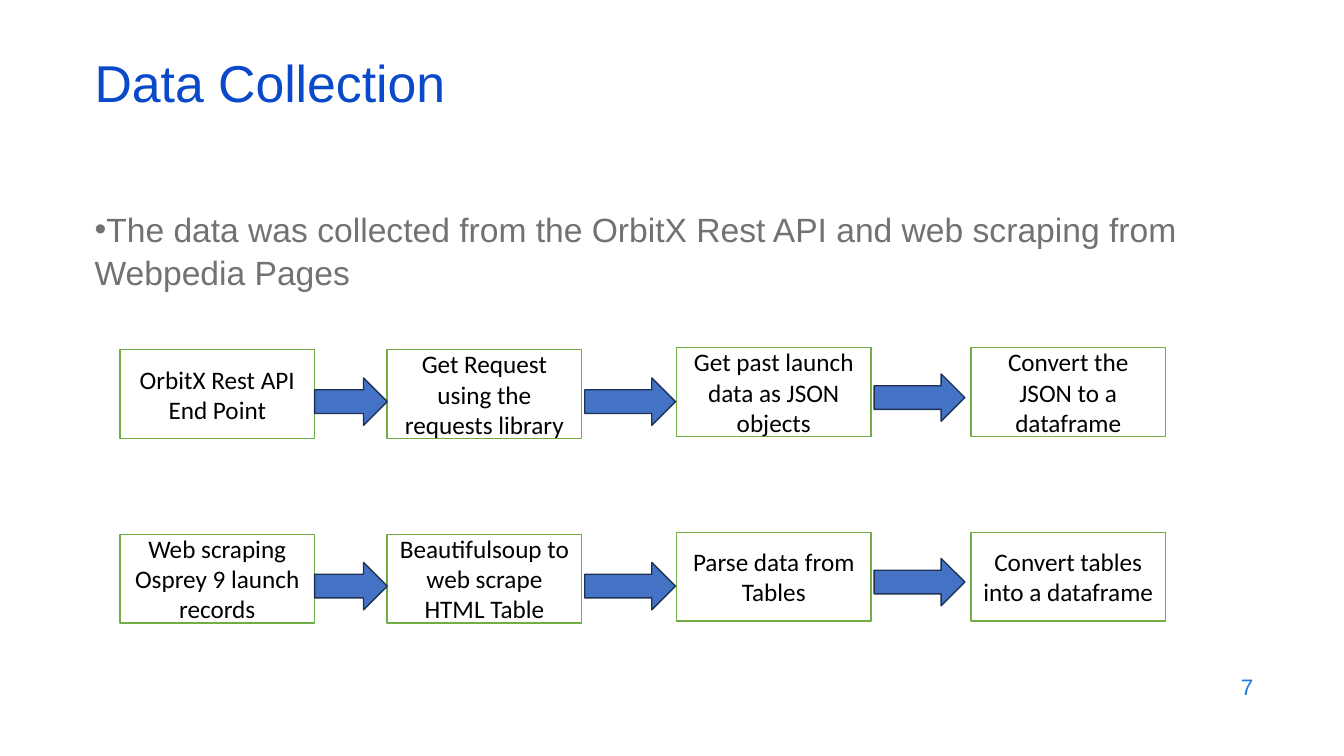
from lxml import etree
from pptx import Presentation
from pptx.dml.color import RGBColor
from pptx.enum import shapes, text
from pptx.oxml import ns
from pptx.util import Inches, Pt

COLORS = {"title": "0B49CB", "body": "767171", "number": "1C7DDB",
          "box": "FFFFFF", "box_line": "70AD47", "box_text": "000000",
          "arrow": "4472C4", "arrow_line": "1E3256"}
ALIGN, ANCHOR, SHAPE = text.PP_ALIGN, text.MSO_ANCHOR, shapes.MSO_SHAPE

prs = Presentation()
prs.slide_width, prs.slide_height = Inches(13.33), Inches(7.5)
s = prs.slides.add_slide(prs.slide_layouts[6])


def write(sp, words, size, font, color, align, anchor, spacing=None):
    tf = sp.text_frame
    tf.word_wrap, tf.vertical_anchor = True, anchor
    p = tf.paragraphs[0]
    p.alignment, p.line_spacing = align, spacing
    r = p.add_run()
    r.text = words
    for name, value in {"size": Pt(size), "name": font}.items():
        setattr(r.font, name, value)
    r.font.color.rgb = RGBColor.from_string(COLORS[color])
    return p


def add_block(kind, left, top, width, height, color):
    """Add a preset shape filled with a colour and outlined in its line colour."""
    sp = s.shapes.add_shape(kind, Inches(left), Inches(top), Inches(width), Inches(height))
    sp.shadow.inherit = False
    sp.fill.solid()
    sp.fill.fore_color.rgb = RGBColor.from_string(COLORS[color])
    sp.line.color.rgb = RGBColor.from_string(COLORS[color + "_line"])
    sp.line.width = Pt(1)
    return sp


# Title, body and slide number
number = s.shapes.add_textbox(Inches(9.53), Inches(6.59), Inches(3), Inches(0.44))
write(number, "7", 16, "Arial", "number", ALIGN.RIGHT, ANCHOR.MIDDLE)

body = s.shapes.add_textbox(Inches(0.84), Inches(2), Inches(11.5), Inches(4.76))
p = write(body, "The data was collected from the OrbitX Rest API and web scraping from "
          "Webpedia Pages", 24, "Arial", "body", ALIGN.LEFT, ANCHOR.TOP, 1.06)
pPr = p._p.get_or_add_pPr()
pPr.set("marL", "0")
pPr.set("indent", "0")
etree.SubElement(pPr, ns.qn("a:buFont")).set("typeface", "Arial")
etree.SubElement(pPr, ns.qn("a:buChar")).set("char", "•")

title = s.shapes.add_textbox(Inches(0.84), Inches(0.59), Inches(11.5), Inches(0.6))
write(title, "Data Collection", 37, "Arial", "title", ALIGN.LEFT, ANCHOR.MIDDLE, 0.7)

# Two flows of four steps; the right half of each sits slightly higher
flows = [
    (3.47, ["OrbitX Rest API End Point", "Get Request using the requests library",
            "Get past launch data as JSON objects", "Convert the JSON to a dataframe"]),
    (5.3, ["Web scraping Osprey 9 launch records", "Beautifulsoup to web scrape HTML Table",
           "Parse data from Tables", "Convert tables into a dataframe"]),
]
boxes = [(1.19, 0), (3.84, 0), (6.71, -0.02), (9.63, -0.02)]  # left, shift
arrows = [(3.12, 0.28, 0.72), (5.8, 0.28, 0.9), (8.67, 0.24, 0.9)]  # left, drop, width

for top, steps in flows:
    for (left, shift), step in zip(boxes, steps):
        box = add_block(SHAPE.RECTANGLE, left, top + shift, 1.93, 0.88, "box")
        write(box, step, 18, "Calibri", "box_text", ALIGN.CENTER, ANCHOR.MIDDLE)
    for left, drop, width in arrows:
        add_block(SHAPE.RIGHT_ARROW, left, top + drop, width, 0.47, "arrow")

prs.save("out.pptx")
